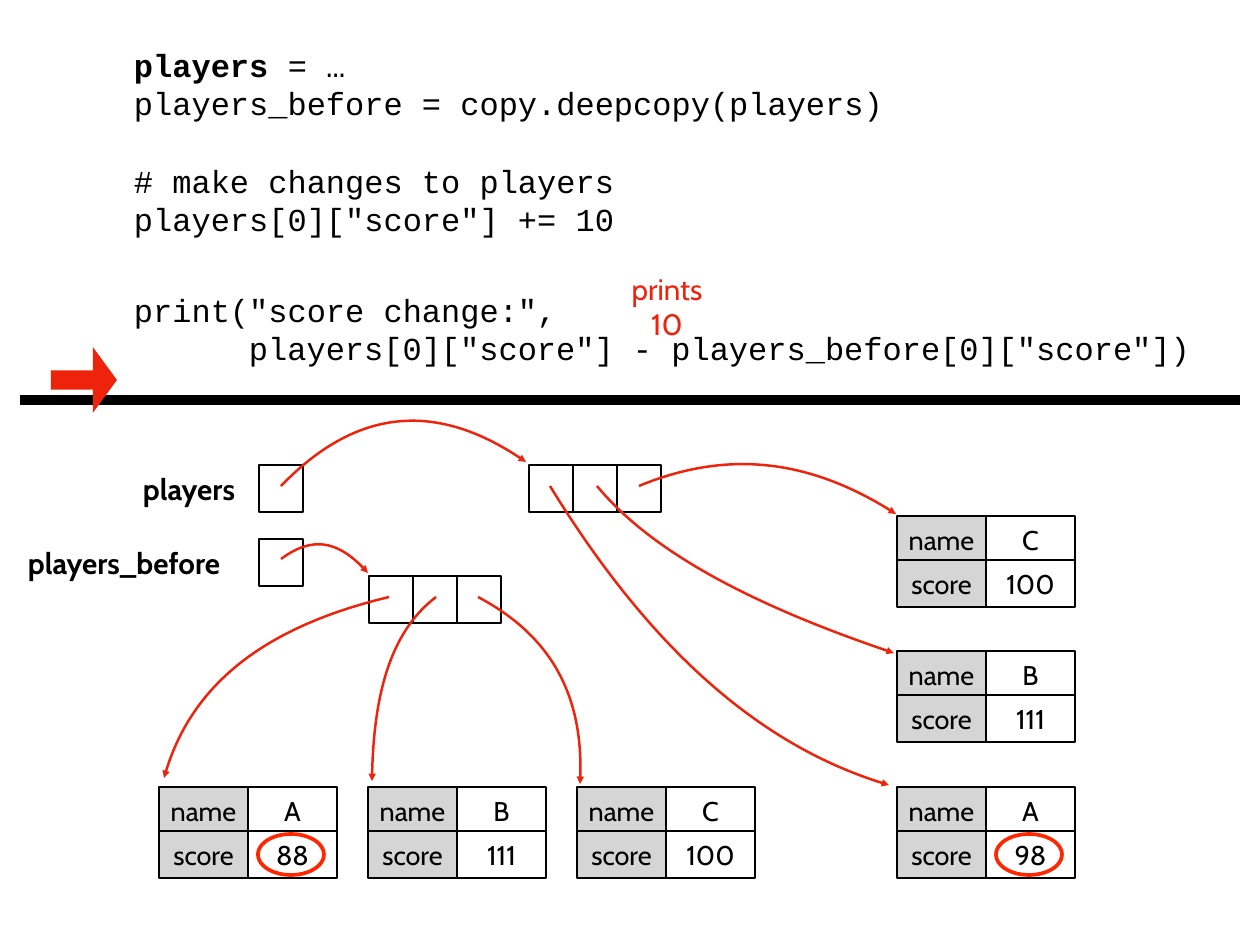
from dataclasses import dataclass

from lxml import etree
from pptx import Presentation
from pptx.dml.color import RGBColor
from pptx.enum.shapes import MSO_CONNECTOR, MSO_SHAPE
from pptx.enum.text import MSO_ANCHOR, PP_ALIGN
from pptx.oxml.ns import qn
from pptx.util import Pt

RECTANGLE, ELLIPSE, RIGHT_ARROW = MSO_SHAPE.RECTANGLE, MSO_SHAPE.OVAL, MSO_SHAPE.RIGHT_ARROW
STRAIGHT = MSO_CONNECTOR.STRAIGHT
LEFT, CENTER, RIGHT = PP_ALIGN.LEFT, PP_ALIGN.CENTER, PP_ALIGN.RIGHT
TOP, MIDDLE = MSO_ANCHOR.TOP, MSO_ANCHOR.MIDDLE


@dataclass(frozen=True)
class Theme:
    """Colours, fonts and point sizes of the slide."""
    black: str = "000000"
    white: str = "FFFFFF"
    gray: str = "D6D5D5"
    red: str = "EE230C"
    ring_red: str = "FF2600"
    code_font: str = "Courier New"
    label_font: str = "Cabin"
    code_size: float = 26
    code_pitch: float = 31.4
    label_size: float = 24
    cell_size: float = 22
    thin: float = 2
    ring: float = 3
    thick: float = 8


THEME = Theme()
EMU_PER_PIXEL = 914400 / 88.6
INSET = 5
BOX_WIDTH, BOX_HEIGHT, PITCH = 44, 47, 44
CELL_WIDTH = 89
CURVE_STEPS = 40

# (bold start, lines, space before in points, indent)
CODE = [
    ("players", [" = …", "players_before = copy.deepcopy(players)"], 0, 0),
    ("", ["# make changes to players", 'players[0]["score"] += 10'], THEME.code_pitch, 0),
    ("", ['print("score change:",'], 42, 0),
    ("", ['players[0]["score"] - players_before[0]["score"])'], 0, 115),
]
CODE_AREA = (129, 40, 1076, 428)
DIVIDER = (20, 400, 1240, 400)
STEP_ARROW = (51, 347, 66, 66)
STEP_ARROW_ADJUSTMENTS = (0.293, 0.366)

# (text, area, alignment, anchor, colour, bold)
LABELS = [
    ("players", (129, 467, 120, 44), CENTER, MIDDLE, THEME.black, True),
    ("players_before", (5, 541, 220, 44), RIGHT, MIDDLE, THEME.black, True),
    ("prints 10", (622, 266, 90, 80), CENTER, TOP, THEME.red, False),
]
# (left, top, number of boxes)
BOX_ROWS = [(259, 465, 1), (529, 465, 3), (259, 539, 1), (369, 576, 3)]
# (left, top, name, score, score is circled)
RECORDS = [
    (897, 516, "C", "100", False),
    (897, 651, "B", "111", False),
    (897, 787, "A", "98", True),
    (159, 787, "A", "88", True),
    (368, 787, "B", "111", False),
    (577, 787, "C", "100", False),
]
# start, two control points, end
REFERENCES = [
    [(281, 486), (356, 408), (439, 401), (526, 462)],
    [(639, 486), (726, 450), (811, 459), (896, 514)],
    [(597, 486), (649, 549), (748, 604), (894, 653)],
    [(550, 486), (650, 649), (763, 748), (889, 785)],
    [(281, 559), (312, 536), (340, 541), (368, 573)],
    [(478, 597), (550, 635), (585, 697), (580, 784)],
    [(436, 597), (394, 629), (373, 689), (372, 781)],
    [(389, 597), (264, 627), (189, 687), (164, 778)],
]


def emu(*pixels):
    """Turn pixel lengths into a list of EMU lengths."""
    return [round(value * EMU_PER_PIXEL) for value in pixels]


def apply(target, values):
    """Set every attribute named in a dict of format values."""
    for name, value in values.items():
        setattr(target, name, value)


def set_frame(frame, anchor):
    """Set the insets, anchor and wrapping of a text frame."""
    inset = emu(INSET)[0]
    apply(frame, {"margin_left": inset, "margin_right": inset, "margin_top": inset,
                  "margin_bottom": inset, "vertical_anchor": anchor, "word_wrap": True})


def add_run(paragraph, text, font, size, color=THEME.black, bold=False):
    """Add one formatted run to a paragraph."""
    run = paragraph.add_run()
    run.text = text
    apply(run.font, {"name": font, "size": Pt(size), "bold": bold})
    run.font.color.rgb = RGBColor.from_string(color)


def paint(shape, fill=None, line=None, width=THEME.thin):
    """Set fill and outline, where None means no paint, and drop the shadow."""
    shape.shadow.inherit = False
    for part, color in ((shape.fill, fill), (shape.line.fill, line)):
        if color is None:
            part.background()
        else:
            part.solid()
            part.fore_color.rgb = RGBColor.from_string(color)
    if line is not None:
        shape.line.width = Pt(width)


def add_shape(slide, kind, area, **paints):
    """Add a painted preset shape."""
    shape = slide.shapes.add_shape(kind, *emu(*area))
    paint(shape, **paints)
    return shape


def add_code(slide):
    """Add the program text."""
    frame = slide.shapes.add_textbox(*emu(*CODE_AREA)).text_frame
    set_frame(frame, TOP)
    for index, (bold_start, lines, space, indent) in enumerate(CODE):
        paragraph = frame.add_paragraph() if index else frame.paragraphs[0]
        apply(paragraph, {"alignment": LEFT, "space_before": Pt(space),
                          "line_spacing": Pt(THEME.code_pitch)})
        if indent:
            paragraph._p.get_or_add_pPr().set("marL", str(emu(indent)[0]))
        if bold_start:
            add_run(paragraph, bold_start, THEME.code_font, THEME.code_size, bold=True)
        for number, line in enumerate(lines):
            if number:
                paragraph.add_line_break()
            add_run(paragraph, line, THEME.code_font, THEME.code_size)


def add_label(slide, text, area, alignment, anchor, color, bold):
    """Add a label beside the code or the diagram."""
    frame = slide.shapes.add_textbox(*emu(*area)).text_frame
    set_frame(frame, anchor)
    frame.paragraphs[0].alignment = alignment
    add_run(frame.paragraphs[0], text, THEME.label_font, THEME.label_size, color, bold)


def add_divider(slide):
    """Add the thick line between code and diagram."""
    divider = slide.shapes.add_connector(STRAIGHT, *emu(*DIVIDER))
    divider.line.color.rgb = RGBColor.from_string(THEME.black)
    divider.line.width = Pt(THEME.thick)
    etree.SubElement(divider._element.spPr, qn("a:effectLst"))


def add_record(slide, left, top, name, score, circled):
    """Add a two by two record, with a ring on a circled score."""
    for row, texts in enumerate((("name", name), ("score", score))):
        for column, (text, fill) in enumerate(zip(texts, (THEME.gray, THEME.white))):
            area = (left + column * CELL_WIDTH, top + row * PITCH, CELL_WIDTH, BOX_HEIGHT)
            cell = add_shape(slide, RECTANGLE, area, fill=fill, line=THEME.black)
            set_frame(cell.text_frame, MIDDLE)
            paragraph = cell.text_frame.paragraphs[0]
            paragraph.alignment = CENTER
            add_run(paragraph, text, THEME.label_font, THEME.cell_size)
    if circled:
        add_shape(slide, ELLIPSE, (left + 99, top + 47, 66, 41),
                  line=THEME.ring_red, width=THEME.ring)


def curve_point(points, t):
    """Return the point at t on a cubic curve."""
    weights = ((1 - t) ** 3, 3 * t * (1 - t) ** 2, 3 * t * t * (1 - t), t ** 3)
    return tuple(round(sum(w * p[axis] for w, p in zip(weights, points))) for axis in (0, 1))


def add_reference(slide, pixels):
    """Add a curved arrow; sampled points give its extent, then one curve replaces them."""
    points = [emu(*pixel) for pixel in pixels]
    samples = [curve_point(points, step / CURVE_STEPS) for step in range(CURVE_STEPS + 1)]
    builder = slide.shapes.build_freeform(*samples[0])
    builder.add_line_segments(samples[1:], close=False)
    shape = builder.convert_to_shape()
    outline = shape._element.xpath(".//a:path")[0]
    for segment in outline.findall(qn("a:lnTo")):
        outline.remove(segment)
    curve = etree.SubElement(outline, qn("a:cubicBezTo"))
    for x, y in points[1:]:
        etree.SubElement(curve, qn("a:pt"), x=str(x - shape.left), y=str(y - shape.top))
    paint(shape, line=THEME.red)
    line = shape._element.xpath("./p:spPr/a:ln")[0]
    etree.SubElement(line, qn("a:tailEnd"), type="triangle")


presentation = Presentation()
presentation.slide_width, presentation.slide_height = emu(1260, 945)
slide = presentation.slides.add_slide(presentation.slide_layouts[6])

add_code(slide)
add_divider(slide)
step_arrow = add_shape(slide, RIGHT_ARROW, STEP_ARROW, fill=THEME.red)
for index, value in enumerate(STEP_ARROW_ADJUSTMENTS):
    step_arrow.adjustments[index] = value
for label in LABELS:
    add_label(slide, *label)
for left, top, count in BOX_ROWS:
    for index in range(count):
        add_shape(slide, RECTANGLE, (left + index * PITCH, top, BOX_WIDTH, BOX_HEIGHT),
                  fill=THEME.white, line=THEME.black)
for record in RECORDS:
    add_record(slide, *record)
for reference in REFERENCES:
    add_reference(slide, reference)

presentation.save("out.pptx")
